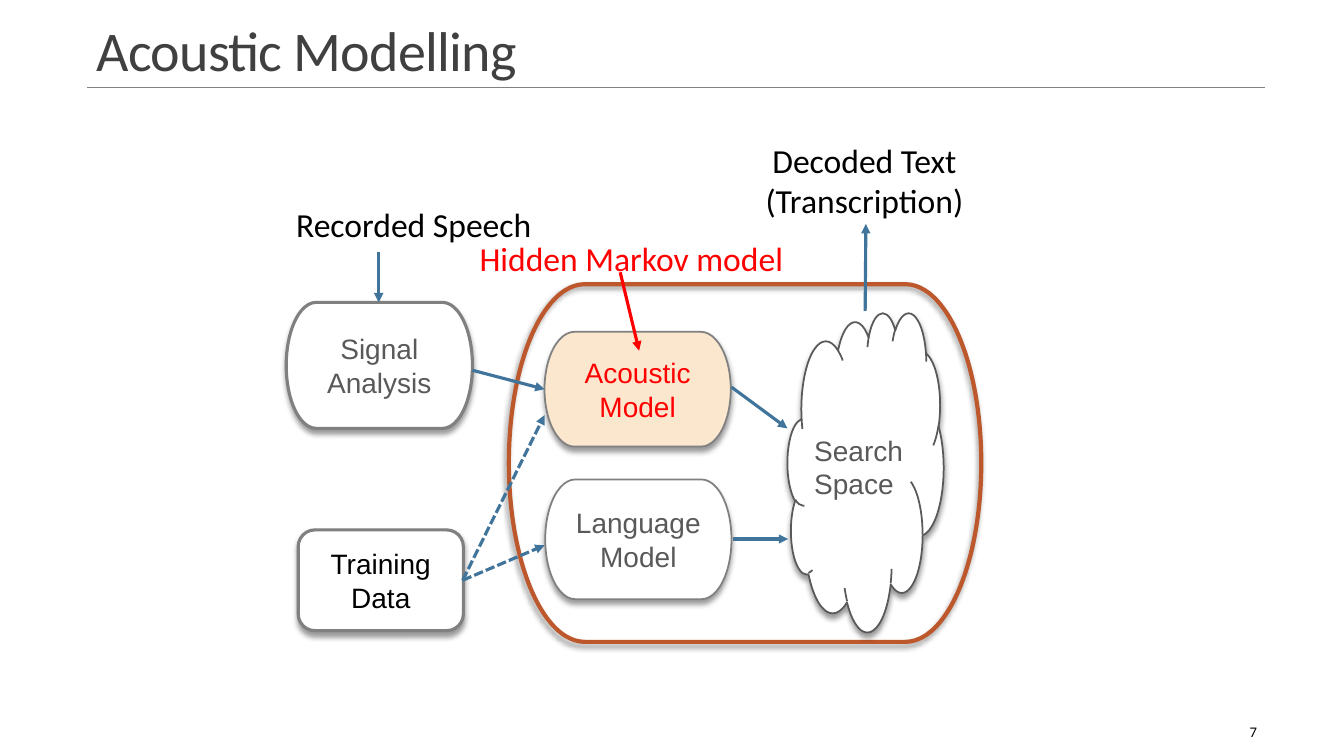
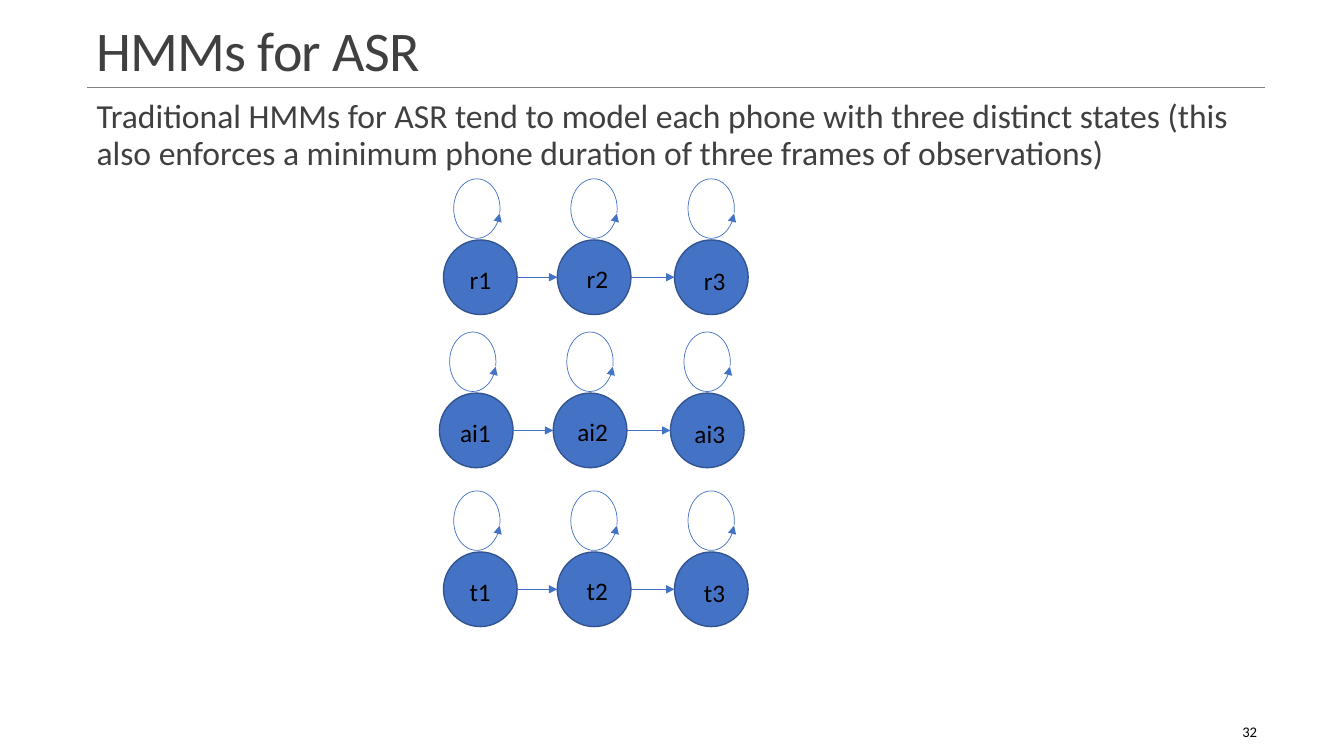
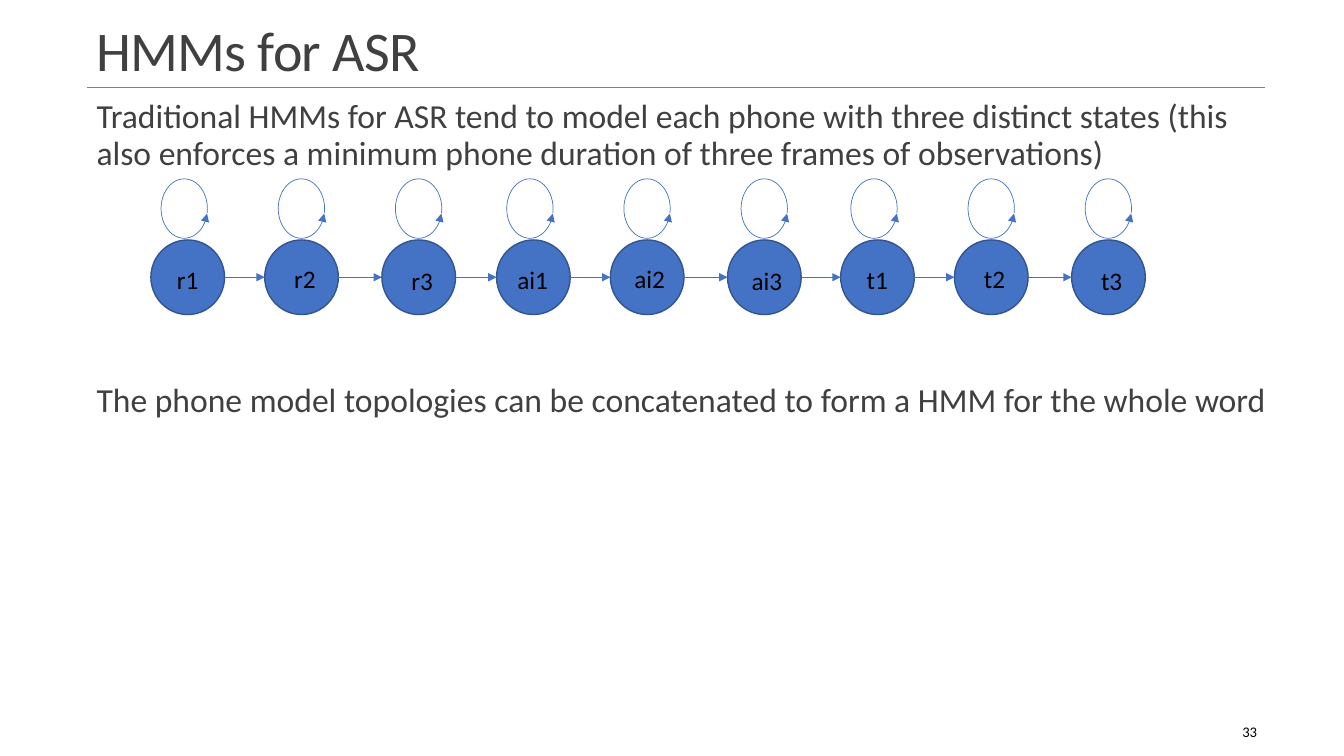
from lxml.etree import SubElement
from pptx import Presentation
from pptx.dml.color import RGBColor
from pptx.enum.dml import MSO_LINE
from pptx.enum.shapes import MSO_CONNECTOR as CONN, MSO_SHAPE as SHAPE
from pptx.enum.text import MSO_ANCHOR as ANCHOR, PP_ALIGN as ALIGN
from pptx.oxml.ns import qn
from pptx.util import Pt

BLACK, WHITE, RED = "000000", "FFFFFF", "FF0000"
INK, GREY, SLATE = "404040", "808080", "595959"
STEEL, RUST, CREAM = "40749B", "BD582C", "FBE6CE"
BLUE, NAVY = "4472C4", "325491"
LEFT, WIDTH = 61.9, 842.4
INTRO = ("Traditional HMMs for ASR tend to model each phone with three distinct states "
         "(this also enforces a minimum phone duration of three frames of observations)")
SUMMARY = "The phone model topologies can be concatenated to form a HMM for the whole word"
PHONES = ("r", "ai", "t")
STATE_W, STATE_H = 52.6, 53.3
STATE_XS = (0, 81.3, 165)
LOOP_STEP = 83.7


def rgb(value):
    return RGBColor.from_string(value)


def apply(obj, values):
    for name, value in values.items():
        setattr(obj, name, value)


def write(sp, lines, size, color, font="Calibri", align=ALIGN.LEFT, anchor=ANCHOR.TOP,
          frame={}, para={}):
    tf = sp.text_frame
    apply(tf, {"word_wrap": True, "vertical_anchor": anchor, **frame})
    for i, line in enumerate(lines):
        p = tf.paragraphs[0] if i == 0 else tf.add_paragraph()
        apply(p, {"alignment": align, **para})
        r = p.add_run()
        r.text = line
        apply(r.font, {"name": font, "size": Pt(size)})
        r.font.color.rgb = rgb(color)
    return tf


def add_text(s, box, lines, size, color, **options):
    sp = s.shapes.add_textbox(*map(Pt, box))
    return write(sp, lines, size, color, **options)


def add_outline(s, kind, box, line, width, fill=None):
    sp = s.shapes.add_shape(kind, *map(Pt, box))
    sp.shadow.inherit = False
    if fill:
        sp.fill.solid()
        sp.fill.fore_color.rgb = rgb(fill)
    else:
        sp.fill.background()
    sp.line.color.rgb = rgb(line)
    sp.line.width = Pt(width)
    return sp


def add_arrowhead(sp, end):
    SubElement(sp.line._get_or_add_ln(), qn(f"a:{end}End"), type="triangle")


def add_shadow(sp, angle):
    effects = sp._element.spPr.find(qn("a:effectLst"))
    shadow = SubElement(effects, qn("a:outerShdw"), blurRad=str(Pt(4)), dist=str(Pt(3)),
                        dir=str(angle * 60000), algn="ctr", rotWithShape="0")
    color = SubElement(shadow, qn("a:srgbClr"), val=BLACK)
    SubElement(color, qn("a:alpha"), val="40000")


def add_line(s, start, end, color, width, dash=None, arrow=True):
    sp = s.shapes.add_connector(CONN.STRAIGHT, *map(Pt, (*start, *end)))
    sp.line.color.rgb = rgb(color)
    sp.line.width = Pt(width)
    if dash:
        sp.line.dash_style = dash
    if arrow:
        add_arrowhead(sp, "tail")
    SubElement(sp._element.spPr, qn("a:effectLst"))


def new_slide(prs, title, number):
    s = prs.slides.add_slide(prs.slide_layouts[6])
    add_line(s, (LEFT, 62.6), (903.6, 62.6), GREY, 0.5, arrow=False)
    tf = add_text(s, (LEFT, 9.4, WIDTH, 53.3), [title], 40, INK,
                  anchor=ANCHOR.BOTTOM, para={"line_spacing": 0.85})
    tf.paragraphs[0].runs[0].font._element.set("spc", "-50")
    add_text(s, (802, 508.3, 103, 28.8), [str(number)], 10.5, BLACK,
             align=ALIGN.RIGHT, anchor=ANCHOR.MIDDLE)
    return s


def add_body(s, lines, gap=0):
    tf = add_text(s, (LEFT, 67.7, WIDTH, 428.4), lines, 24, INK,
                  frame={"margin_right": 0},
                  para={"line_spacing": 0.9, "space_after": Pt(6)})
    for p in tf.paragraphs[1:]:
        p.space_before = Pt(gap)


def add_recogniser(s, x, y):
    def at(left, top, *size):
        return (x + left, y + top, *size)

    terminator = SHAPE.FLOWCHART_TERMINATOR
    blocks = [
        (terminator, (0, 119.5, 133, 90), GREY, 2.25, WHITE, 90, "Signal Analysis", SLATE),
        (SHAPE.ROUNDED_RECTANGLE, (8.5, 282, 118, 72), GREY, 2.25, WHITE, 90,
         "Training Data", BLACK),
        (terminator, (159, 106.5, 337.5, 255.5), RUST, 3, None, 135, None, None),
        (terminator, (184.5, 140.5, 133, 82), GREY, 1.25, CREAM, 90, "Acoustic Model", RED),
        (terminator, (185, 246, 133, 85.5), GREY, 1.25, WHITE, 90, "Language Model", SLATE),
        (SHAPE.CLOUD, (358, 126.5, 111.5, 228), SLATE, 1.25, WHITE, 90, None, None),
    ]
    for kind, box, line, width, fill, angle, label, color in blocks:
        sp = add_outline(s, kind, at(*box), line, width, fill)
        add_shadow(sp, angle)
        if label:
            write(sp, [label], 20, color, font="Arial", align=ALIGN.CENTER,
                  anchor=ANCHOR.MIDDLE)

    dashed = MSO_LINE.SQUARE_DOT
    arrows = [
        ((133, 168), (184.5, 181.5), STEEL, None),
        ((126, 318), (184.5, 200), STEEL, dashed),
        ((126, 318), (184.5, 293), STEEL, dashed),
        ((66, 83.5), (66, 119.5), STEEL, None),
        ((318, 180), (358, 209.5), STEEL, None),
        ((319, 288.5), (358.5, 288.5), STEEL, None),
        ((413.5, 125.5), (414, 63.5), STEEL, None),
        ((238.5, 98), (252, 154), RED, None),
    ]
    for start, end, color, dash in arrows:
        add_line(s, at(*start), at(*end), color, 2.25, dash)

    add_text(s, at(370, 209.5, 80.5, 55.5), ["Search Space"], 20, SLATE, font="Arial")
    add_text(s, at(0, 45.5, 197, 36), ["Recorded Speech"], 24, BLACK)
    add_text(s, at(314.5, 0, 197, 65.5), ["Decoded Text", "(Transcription)"], 24, BLACK,
             align=ALIGN.CENTER)
    add_text(s, at(131, 70, 237.5, 36), ["Hidden Markov model"], 24, RED)


def add_phone(s, x, y, phone):
    middle = y + STATE_H / 2
    label_x = x + 11.5 - 3.8 * (len(phone) - 1)
    for i, left in enumerate(STATE_XS):
        add_outline(s, SHAPE.OVAL, (x + left, y, STATE_W, STATE_H), NAVY, 1, BLUE)
        loop = add_outline(s, SHAPE.ARC, (x + 2.6 + i * LOOP_STEP, y - 39, 42.5, 33.1),
                           BLUE, 0.5)
        loop.rotation = 270
        loop.adjustments[0], loop.adjustments[1] = 61.32, 60.48
        add_arrowhead(loop, "head")
        label_y = y + (13.7, 13, 14.4)[i]
        add_text(s, (label_x + i * LOOP_STEP, label_y, 52, 29), [f"{phone}{i + 1}"], 18, BLACK)
    for left, right in zip(STATE_XS, STATE_XS[1:]):
        add_line(s, (x + left + STATE_W, middle), (x + right, middle), BLUE, 0.5)


def add_word(s, xs, y):
    for x, phone in zip(xs, PHONES):
        add_phone(s, x, y, phone)
    middle = y + STATE_H / 2
    for x, following in zip(xs, xs[1:]):
        add_line(s, (x + STATE_XS[-1] + STATE_W, middle), (following, middle), BLUE, 0.5)


def main():
    prs = Presentation()
    apply(prs, {"slide_width": Pt(960), "slide_height": Pt(540)})

    s = new_slide(prs, "Acoustic Modelling", 7)
    add_recogniser(s, 204.5, 96.5)

    s = new_slide(prs, "HMMs for ASR", 32)
    add_body(s, [INTRO])
    for phone, x, y in zip(PHONES, (316.8, 313.9, 316.8), (171.4, 280.8, 394.3)):
        add_phone(s, x, y, phone)

    s = new_slide(prs, "HMMs for ASR", 33)
    add_body(s, [INTRO, SUMMARY], gap=145)
    add_word(s, (107.8, 354.7, 600.5), 171.4)

    prs.save("out.pptx")


if __name__ == "__main__":
    main()
